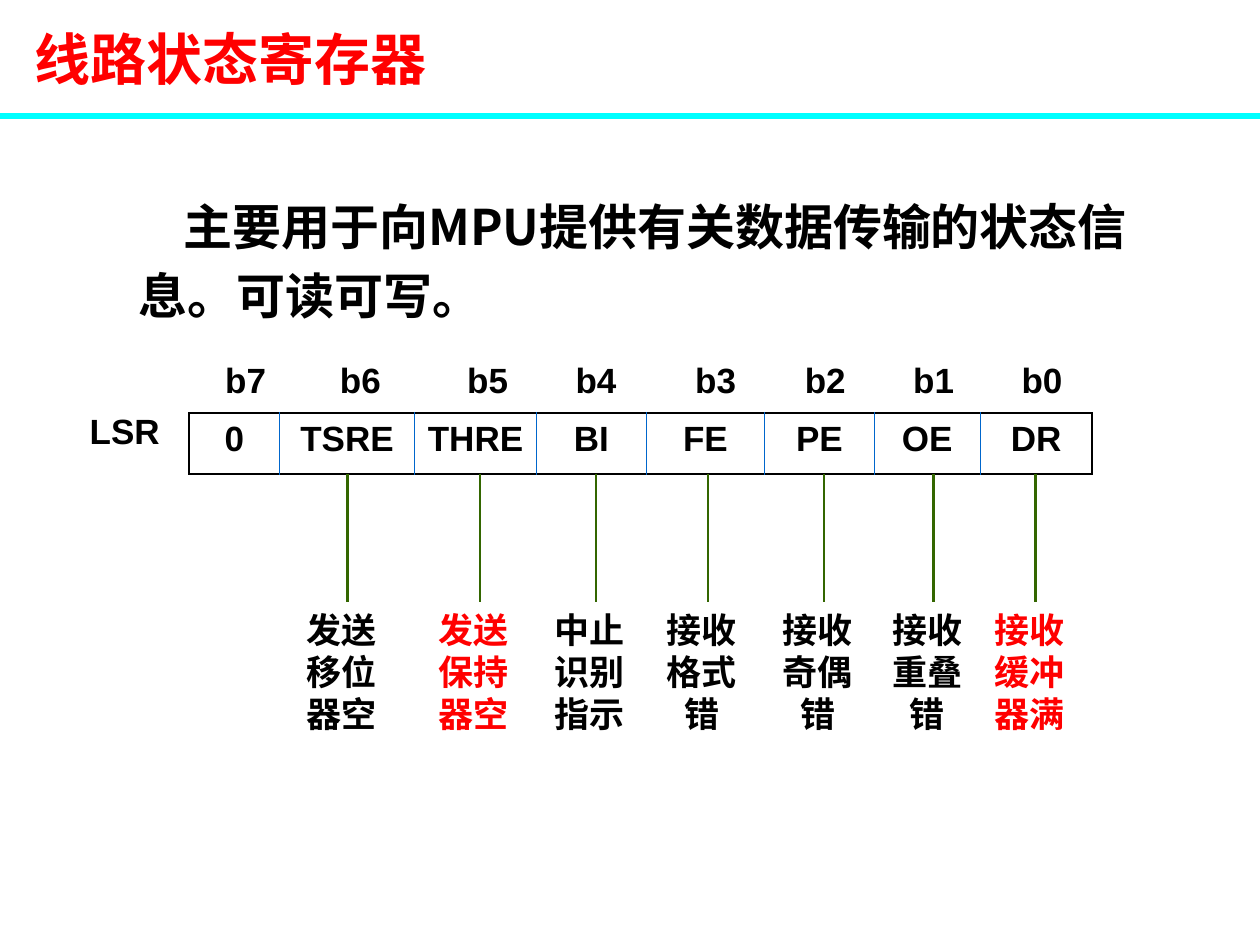
import pptx
import pptx.util
import pptx.dml.color
import pptx.enum.shapes
import pptx.enum.text
import pptx.oxml
import pptx.oxml.ns

LATIN = "Arial"
CHINESE = "Noto Sans CJK SC"
BLACK, RED, CYAN, GREEN, BLUE = "000000", "FF0000", "00FFFF", "336600", "0066CC"
LEFT = pptx.enum.text.PP_ALIGN.LEFT
CENTER = pptx.enum.text.PP_ALIGN.CENTER
MIDDLE = pptx.enum.text.MSO_ANCHOR.MIDDLE
STRAIGHT = pptx.enum.shapes.MSO_CONNECTOR.STRAIGHT


def colour(value):
    return pptx.dml.color.RGBColor.from_string(value)


def write(frame, lines, size, face, ink=BLACK, align=CENTER, spacing=None):
    frame.text = "\n".join(lines)
    for para in frame.paragraphs:
        para.alignment = align
        if spacing:
            para.line_spacing = pptx.util.Pt(spacing)
        font = para.font
        font.size = pptx.util.Pt(size)
        font.bold = True
        font.name = face
        font.color.rgb = colour(ink)
        east = pptx.oxml.parse_xml(
            f'<a:ea {pptx.oxml.ns.nsdecls("a")} typeface="{CHINESE}"/>')
        font._element.find(pptx.oxml.ns.qn("a:latin")).addnext(east)


deck = pptx.Presentation()
deck.slide_width = pptx.util.Inches(10)
deck.slide_height = pptx.util.Inches(7.5)
column = deck.slide_width // 100
row = deck.slide_height // 75
page = deck.slides.add_slide(deck.slide_layouts[5])

title = page.shapes.title
title.left, title.top = int(1.7 * column), 0
title.width, title.height = int(98.3 * column), int(9.2 * row)
title.text_frame.vertical_anchor = MIDDLE
write(title.text_frame, ["线路状态寄存器"], 32, CHINESE, RED, LEFT)

bit_lefts = [17.1, 26.2, 36.3, 44.9, 54.4, 63.1, 71.7, 80.3]
captions = [
    (10.6, 14.7, 81.2, 12.1, "主要用于向MPU提供有关数据传输的状态信息。可读可写。", 28, CHINESE, LEFT, 38.9),
    (4.8, 32.6, 10.2, 4.3, "LSR", 20, LATIN, CENTER, 22.1),
]
for index, left in enumerate(bit_lefts):
    captions.append((left, 28.5, 4.8, 4.3, f"b{7 - index}", 20, LATIN, CENTER, 22.1))
for left, top, width, height, words, size, face, align, spacing in captions:
    box = page.shapes.add_textbox(int(left * column), int(top * row),
                                  int(width * column), int(height * row))
    frame = box.text_frame
    frame.word_wrap = True
    frame.margin_left = frame.margin_right = frame.margin_bottom = pptx.util.Inches(0.04)
    frame.margin_top = pptx.util.Inches(0.02)
    write(frame, [words], size, face, BLACK, align, spacing)
    if align == LEFT:
        frame.paragraphs[0]._p.get_or_add_pPr().set("indent", str(int(3.6 * column)))

fields = ["0", "TSRE", "THRE", "BI", "FE", "PE", "OE", "DR"]
widths = [7.2, 10.7, 9.7, 8.7, 9.4, 8.7, 8.4, 8.9]
holder = page.shapes.add_table(1, len(fields), 15 * column, int(32.8 * row),
                               int(sum(widths) * column), int(4.8 * row))
register = holder.table
register.first_row = register.horz_banding = False
register.rows[0].height = int(4.8 * row)
for index, (field, width) in enumerate(zip(fields, widths)):
    register.columns[index].width = int(width * column)
    cell = register.cell(0, index)
    cell.fill.background()
    write(cell.text_frame, [field], 20, LATIN)
    outer, inner = (BLACK, 1.08), (BLUE, 0.45)
    borders = {
        "lnL": outer if index == 0 else inner,
        "lnR": outer if index == len(fields) - 1 else inner,
        "lnT": outer,
        "lnB": outer,
    }
    for place, (side, (ink, weight)) in enumerate(borders.items()):
        cell._tc.get_or_add_tcPr().insert(place, pptx.oxml.parse_xml(
            f'<a:{side} {pptx.oxml.ns.nsdecls("a")} w="{pptx.util.Pt(weight)}">'
            f'<a:solidFill><a:srgbClr val="{ink}"/></a:solidFill></a:{side}>'))

meanings = [
    (27.6, ["发送", "移位", "器空"], BLACK),
    (38.1, ["发送", "保持", "器空"], RED),
    (47.3, ["中止", "识别", "指示"], BLACK),
    (56.2, ["接收", "格式", "错"], BLACK),
    (65.4, ["接收", "奇偶", "错"], BLACK),
    (74.1, ["接收", "重叠", "错"], BLACK),
    (82.2, ["接收", "缓冲", "器满"], RED),
]
rules = [(0, 9.2, 100, 9.2, CYAN, 3)]
for stem, lines, ink in meanings:
    box = page.shapes.add_textbox(int((stem - 5.5) * column), int(47.8 * row),
                                  10 * column, 11 * row)
    box.text_frame.word_wrap = False
    box.text_frame.vertical_anchor = MIDDLE
    write(box.text_frame, lines, 20, CHINESE, ink, CENTER, 24)
    rules.append((stem, 37.6, stem, 47.8, GREEN, 1.5))

for left, top, right, bottom, ink, weight in rules:
    rule = page.shapes.add_connector(STRAIGHT, int(left * column), int(top * row),
                                     int(right * column), int(bottom * row))
    rule.line.color.rgb = colour(ink)
    rule.line.width = pptx.util.Pt(weight)
    rule._element.spPr.append(pptx.oxml.parse_xml(
        f'<a:effectLst {pptx.oxml.ns.nsdecls("a")}/>'))

deck.save("out.pptx")
